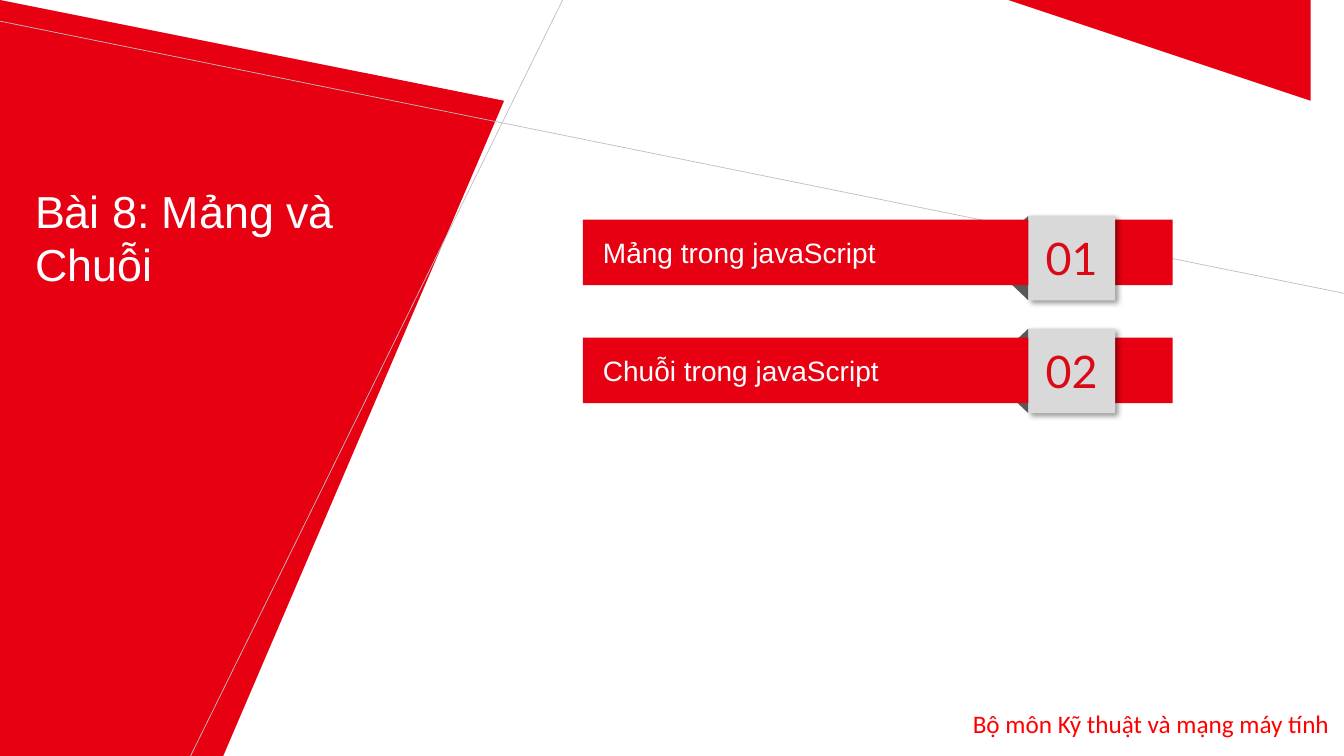
"""Build the lesson 8 agenda slide on arrays and strings."""
from lxml.etree import SubElement
from pptx import Presentation
from pptx.dml.color import RGBColor
from pptx.enum.shapes import MSO_CONNECTOR, MSO_SHAPE
from pptx.enum.text import MSO_ANCHOR, PP_ALIGN
from pptx.oxml import parse_xml
from pptx.oxml.ns import qn
from pptx.util import Inches, Pt

COLORS = {"red": "E70012", "number": "DB0816", "footer": "FF0000", "white": "FFFFFF",
          "tile": "D9D9D9", "fold": "595959", "line": "BFBFBF"}
WIDTH, HEIGHT = 13.33, 7.5
BAR_LEFT, BAR_WIDTH, BAR_HEIGHT = 5.78, 5.85, 0.65
TILE_LEFT, TILE_WIDTH, TILE_HEIGHT = 10.2, 0.86, 0.84
FOLD_WIDTH, FOLD_HEIGHT = 0.19, 0.18
BAR_TOP, BAR_PITCH = 2.18, 1.17
TILE_TOP, TILE_PITCH = 2.14, 1.12
TOPICS = ["Mảng trong javaScript", "Chuỗi trong javaScript"]
SHADOW = (
    '<a:effectLst xmlns:a="http://schemas.openxmlformats.org/drawingml/2006/main">'
    '<a:outerShdw blurRad="50800" dist="38100" dir="2700000" algn="tl" rotWithShape="0">'
    '<a:srgbClr val="000000"><a:alpha val="40000"/></a:srgbClr>'
    '</a:outerShdw></a:effectLst>')


def paint(shape, color):
    """Give a shape a flat fill with no outline or shadow."""
    shape.shadow.inherit = False
    shape.fill.solid()
    shape.fill.fore_color.rgb = RGBColor.from_string(COLORS[color])
    shape.line.fill.background()


def write(shape, text, font, size, color, align=PP_ALIGN.LEFT):
    """Set one paragraph of text and format its run."""
    shape.text_frame.text = text
    paragraph = shape.text_frame.paragraphs[0]
    paragraph.alignment = align
    run_font = paragraph.runs[0].font
    run_font.name, run_font.size = font, Pt(size)
    run_font.color.rgb = RGBColor.from_string(COLORS[color])


presentation = Presentation()
presentation.slide_width, presentation.slide_height = Inches(WIDTH), Inches(HEIGHT)
slide = presentation.slides.add_slide(presentation.slide_layouts[6])
shapes = slide.shapes

left_panel = [(0, 0.5), (4.51, 1.43), (1.52, HEIGHT), (0, HEIGHT)]
corner_panel = [(9.83, 0), (WIDTH, 0), (WIDTH, 0.97), (9.71, 0.23)]
for outline in (left_panel, corner_panel):
    builder = shapes.build_freeform(*outline[0], scale=Inches(1))
    builder.add_line_segments(outline[1:], close=True)
    paint(builder.convert_to_shape(), "red")

for ends in ((1.89, HEIGHT, 5.58, 0), (0, 0.21, WIDTH, 2.91)):
    line = shapes.add_connector(MSO_CONNECTOR.STRAIGHT, *map(Inches, ends))
    line.line.color.rgb = RGBColor.from_string(COLORS["line"])
    line.line.width = Pt(0.5)
    SubElement(line._element.spPr, qn("a:effectLst"))

footer = shapes.add_textbox(*map(Inches, (9.55, 6.98, 3.78, 0.4)))
footer.text_frame.word_wrap = False
write(footer, "Bộ môn Kỹ thuật và mạng máy tính", "Calibri", 18, "footer")

title = shapes.add_textbox(*map(Inches, (0.25, 1.77, 3.64, 1.68)))
title.text_frame.word_wrap = True
write(title, "Bài 8: Mảng và Chuỗi", "Arial", 32, "white")

for index, topic in enumerate(TOPICS):
    bar_top = BAR_TOP + index * BAR_PITCH
    tile_top = TILE_TOP + index * TILE_PITCH

    for flip_vertical, fold_top in (("1", tile_top + TILE_HEIGHT - FOLD_HEIGHT), ("0", tile_top)):
        fold = shapes.add_shape(
            MSO_SHAPE.ISOSCELES_TRIANGLE, Inches(TILE_LEFT - FOLD_WIDTH), Inches(fold_top),
            Inches(FOLD_WIDTH), Inches(FOLD_HEIGHT))
        fold.adjustments[0] = 0
        fold._element.spPr.xfrm.set("flipH", "1")
        fold._element.spPr.xfrm.set("flipV", flip_vertical)
        paint(fold, "fold")

    bar = shapes.add_shape(MSO_SHAPE.RECTANGLE, Inches(BAR_LEFT), Inches(bar_top),
                           Inches(BAR_WIDTH), Inches(BAR_HEIGHT))
    paint(bar, "red")
    bar.text_frame.margin_left = Inches(0.2)
    bar.text_frame.vertical_anchor = MSO_ANCHOR.MIDDLE
    write(bar, topic, "Arial", 20, "white")

    tile = shapes.add_shape(MSO_SHAPE.RECTANGLE, Inches(TILE_LEFT), Inches(tile_top),
                            Inches(TILE_WIDTH), Inches(TILE_HEIGHT))
    paint(tile, "tile")
    properties = tile._element.spPr
    properties.replace(properties.find(qn("a:effectLst")), parse_xml(SHADOW))
    frame = tile.text_frame
    frame.margin_left = frame.margin_right = frame.margin_top = frame.margin_bottom = 0
    frame.vertical_anchor = MSO_ANCHOR.MIDDLE
    write(tile, f"{index + 1:02d}", "Lato", 32, "number", PP_ALIGN.CENTER)

presentation.save("out.pptx")
